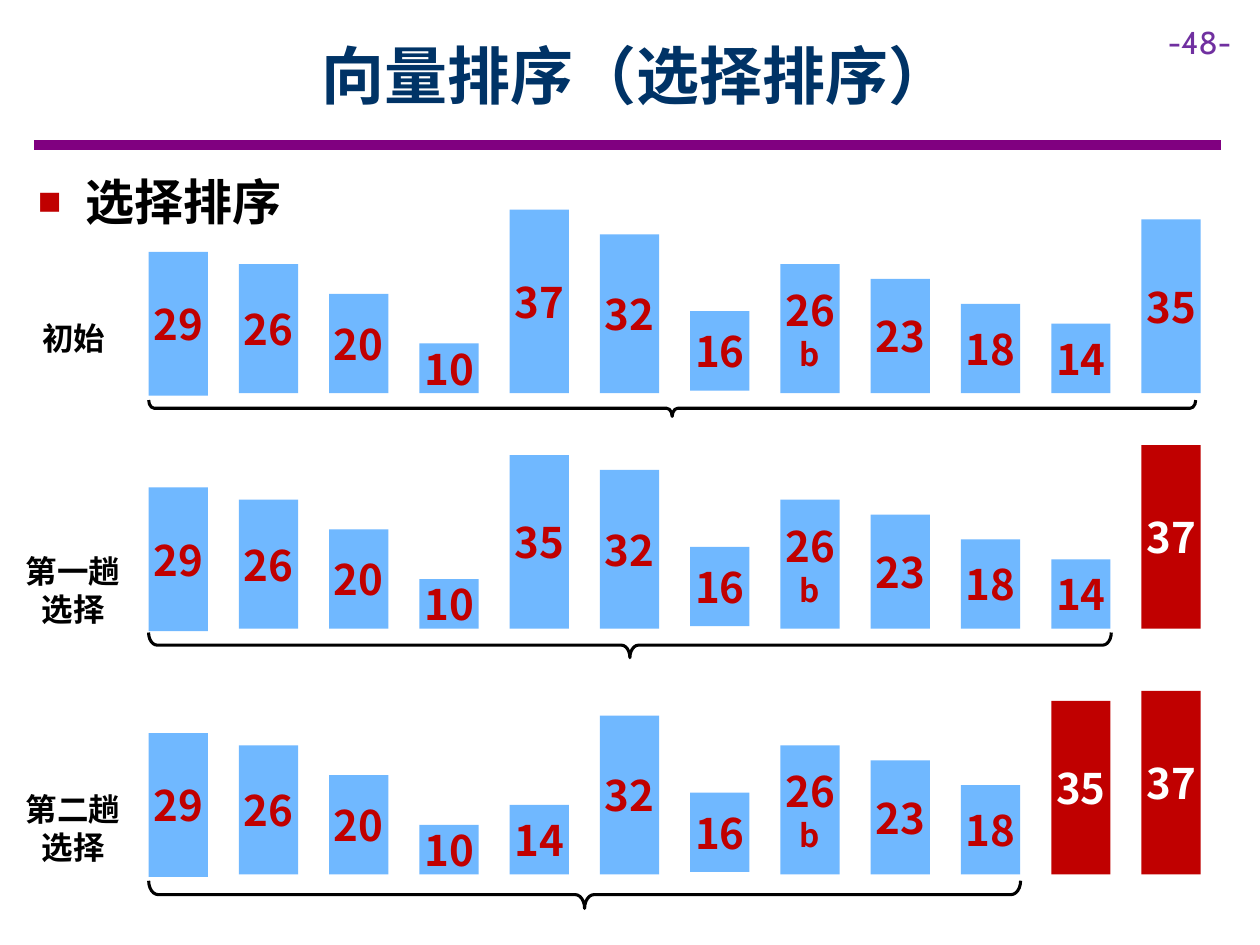
from lxml.etree import SubElement
from pptx import Presentation
from pptx.dml.color import RGBColor
from pptx.enum.shapes import MSO_CONNECTOR, MSO_SHAPE
from pptx.enum.text import MSO_ANCHOR, MSO_AUTO_SIZE, PP_ALIGN
from pptx.oxml.ns import qn
from pptx.util import Inches, Pt

TITLE = "向量排序（选择排序）"
TOPIC = "选择排序"
PAGE = "-48-"

# base: foot of the bars; done: sorted bars at the end of the row
# brace: right end, middle height, depth
ROWS = [
    dict(label="初始", spot=(0.23, 2.48, 0.71, 0.4), base=3.12, done=0,
         brace=(9.49, 3.24, 0.13),
         bars=["29", "26", "20", "10", "37", "32",
               "16", "26\nb", "23", "18", "14", "35"]),
    dict(label="第一趟\n选择", spot=(0.1, 4.33, 0.96, 0.71), base=4.99, done=1,
         brace=(8.82, 5.12, 0.2),
         bars=["29", "26", "20", "10", "35", "32",
               "16", "26\nb", "23", "18", "14", "37"]),
    dict(label="第二趟\n选择", spot=(0.1, 6.22, 0.96, 0.71), base=6.94, done=2,
         brace=(8.1, 7.1, 0.22),
         bars=["29", "26", "20", "10", "14", "32",
               "16", "26\nb", "23", "18", "35", "37"]),
]

THEME = dict(
    font="Noto Sans CJK SC", page_font="Cabin",
    navy="003366", purple="800080", violet="7030A0", red="C00000",
    blue="70B8FF", black="000000", white="FFFFFF",
    title=36, topic=28, value=24, small=18,
)

LEFT, LAST, WIDE = 1.18, 9.06, 0.47
STEP = (LAST - LEFT) / (len(ROWS[0]["bars"]) - 1)
UNIT = 1 / 25.4  # one millimetre of height per unit of value
NUDGE = {29: 0.02, 16: -0.02}


def color(name):
    return RGBColor.from_string(THEME[name])


def place(shape, left, top, width, height):
    shape.left, shape.top = Inches(left), Inches(top)
    shape.width, shape.height = Inches(width), Inches(height)


def style(para, size, ink, font="font", bold=True, align=PP_ALIGN.CENTER):
    para.alignment = align
    for run in para.runs:
        run.font.name = THEME[font]
        run.font.size = Pt(THEME[size])
        run.font.bold = bold
        run.font.color.rgb = color(ink)
        SubElement(run.font._element, qn("a:ea"), typeface=THEME[font])


def add_bullet(para):
    props = para._p.get_or_add_pPr()
    props.set("marL", str(Inches(0.38)))
    props.set("indent", str(-Inches(0.38)))
    tint = SubElement(props, qn("a:buClr"))
    SubElement(tint, qn("a:srgbClr"), val=THEME["red"])
    SubElement(props, qn("a:buSzPct"), val="80000")
    SubElement(props, qn("a:buFont"), typeface="Arial")
    SubElement(props, qn("a:buChar"), char="■")


def add_head(slide):
    rule = slide.shapes.add_connector(
        MSO_CONNECTOR.STRAIGHT,
        Inches(0.27), Inches(1.15), Inches(9.69), Inches(1.15))
    rule.line.color.rgb = color("purple")
    rule.line.width = Pt(6)
    SubElement(rule._element.spPr, qn("a:effectLst"))

    title = slide.shapes.title
    place(title, 0.9, 0.09, 8.31, 1)
    title.text_frame.text = TITLE
    title.text_frame.vertical_anchor = MSO_ANCHOR.MIDDLE
    style(title.text_frame.paragraphs[0], "title", "navy")

    body = slide.placeholders[1]
    place(body, 0.2, 1.31, 9.45, 0.57)
    body.text_frame.text = TOPIC
    body.text_frame.auto_size = MSO_AUTO_SIZE.NONE
    para = body.text_frame.paragraphs[0]
    style(para, "topic", "black", align=PP_ALIGN.LEFT)
    para.space_before, para.space_after = Pt(0), Pt(6)
    add_bullet(para)

    page = slide.shapes.add_textbox(
        Inches(9.17), Inches(0.13), Inches(0.83), Inches(0.4))
    page.text_frame.word_wrap = True
    page.text_frame.text = PAGE
    style(page.text_frame.paragraphs[0], "small", "violet",
          font="page_font", bold=False, align=PP_ALIGN.LEFT)


def add_bar(slide, col, text, base, done):
    value = int(text.split("\n")[0])
    tall = value * UNIT
    top = base + NUDGE.get(value, 0) - tall
    bar = slide.shapes.add_shape(
        MSO_SHAPE.RECTANGLE, Inches(LEFT + col * STEP), Inches(top),
        Inches(WIDE), Inches(tall))
    bar.shadow.inherit = False
    bar.fill.solid()
    bar.fill.fore_color.rgb = color("red" if done else "blue")
    bar.line.fill.background()
    frame = bar.text_frame
    frame.margin_left = frame.margin_right = 0
    frame.margin_top = frame.margin_bottom = Inches(0.1)
    frame.vertical_anchor = MSO_ANCHOR.MIDDLE
    frame.text = text
    for num, para in enumerate(frame.paragraphs):
        style(para, "small" if num else "value", "white" if done else "red")


def add_brace(slide, right, mid, deep):
    """Lay a left brace on its side, opening up towards the bars."""
    span = right - LEFT
    center = (LEFT + right) / 2
    brace = slide.shapes.add_shape(
        MSO_SHAPE.LEFT_BRACE, Inches(center - deep / 2),
        Inches(mid - span / 2), Inches(deep), Inches(span))
    brace.rotation = 270
    brace.adjustments[0] = 0.34
    brace.shadow.inherit = False
    brace.fill.solid()
    brace.fill.fore_color.rgb = color("white")
    brace.line.color.rgb = color("black")
    brace.line.width = Pt(1.75)


def add_label(slide, text, spot):
    box = slide.shapes.add_textbox(*map(Inches, spot))
    box.text_frame.word_wrap = False
    box.text_frame.text = text
    for para in box.text_frame.paragraphs:
        style(para, "small", "black")


def main():
    deck = Presentation()
    deck.slide_width, deck.slide_height = Inches(10), Inches(7.5)
    slide = deck.slides.add_slide(deck.slide_layouts[1])
    add_head(slide)
    for row in ROWS:
        first = len(row["bars"]) - row["done"]
        for col, text in enumerate(row["bars"]):
            add_bar(slide, col, text, row["base"], col >= first)
        add_brace(slide, *row["brace"])
        add_label(slide, row["label"], row["spot"])
    deck.save("out.pptx")


if __name__ == "__main__":
    main()
